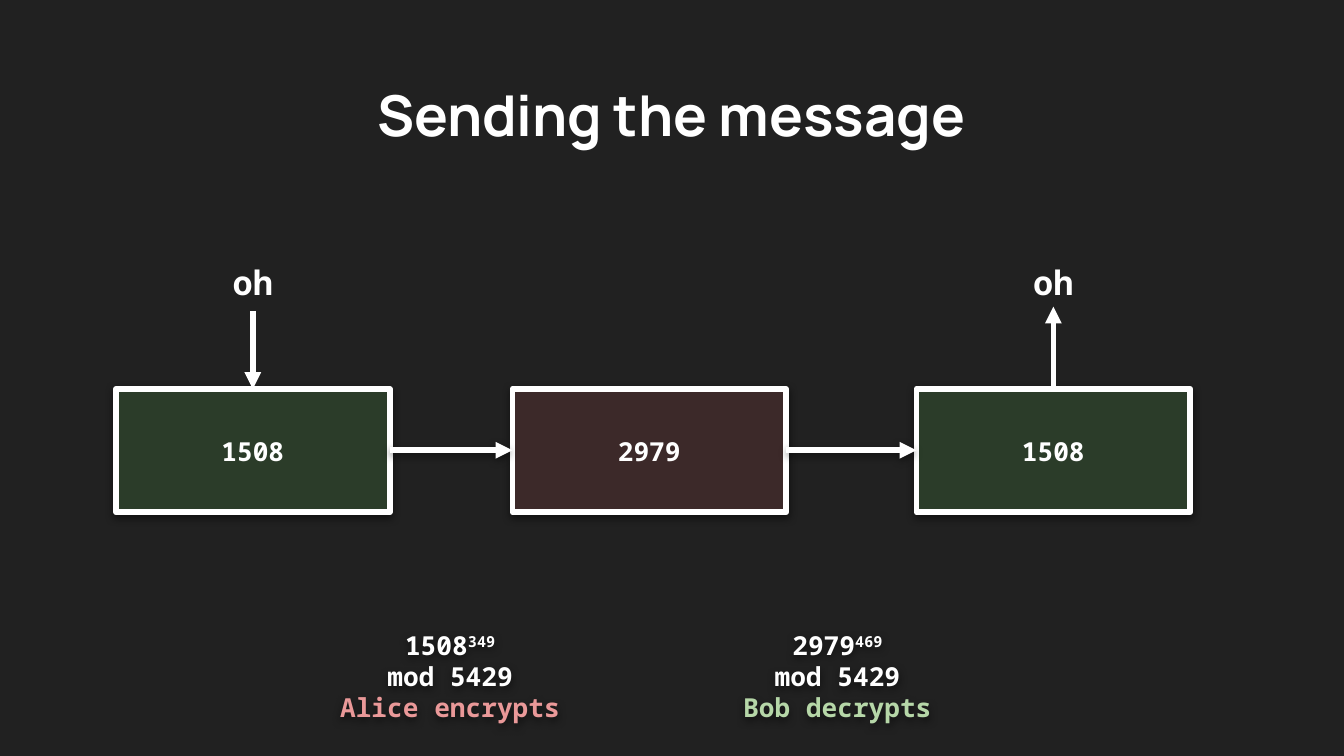
"""Build a slide showing a message being encrypted, sent and decrypted."""
from typing import NamedTuple

from lxml import etree
from pptx import Presentation
from pptx import util as u
from pptx.dml.color import RGBColor
from pptx.enum import shapes, text
from pptx.oxml.ns import qn

PX = u.Inches(1) // 160
WHITE, GREEN, RED = "FFFFFF", "2B3C29", "3C2929"
MONO = "Noto Sans Mono"
MARGIN = 16
BOX_TOP, BOX_WIDTH, BOX_HEIGHT = 463, 326, 147
BOX_MIDDLE = BOX_TOP + BOX_HEIGHT // 2


class Stage(NamedTuple):
    left: int
    number: str
    fill: str


class Arrow(NamedTuple):
    x1: int
    y1: int
    x2: int
    y2: int
    shadow: bool


class Formula(NamedTuple):
    left: int
    width: int
    base: str
    exponent: str
    action: str
    color: str


STAGES = [Stage(138, "1508", GREEN), Stage(610, "2979", RED), Stage(1091, "1508", GREEN)]
FIRST_X, LAST_X = (stage.left + BOX_WIDTH // 2 for stage in (STAGES[0], STAGES[-1]))
ARROWS = [
    Arrow(before.left + BOX_WIDTH, BOX_MIDDLE, after.left, BOX_MIDDLE, True)
    for before, after in zip(STAGES, STAGES[1:])
] + [
    Arrow(FIRST_X, 370, FIRST_X, BOX_TOP, False),
    Arrow(LAST_X, BOX_TOP, LAST_X, 365, False),
]
FORMULAS = [
    Formula(373, 326, "1508", "349", "Alice encrypts", "EA9999"),
    Formula(849, 296, "2979", "469", "Bob decrypts", "B6D7A8"),
]


def rgb(color: str) -> RGBColor:
    return RGBColor.from_string(color)


def set_effects(shape, shadow: bool) -> None:
    effects = etree.SubElement(shape._element.spPr, qn("a:effectLst"))
    if shadow:
        outer = etree.SubElement(
            effects, qn("a:outerShdw"), blurRad=str(u.Pt(4.5)), dist=str(u.Pt(1.5)),
            dir="5400000", algn="bl", rotWithShape="0")
        black = etree.SubElement(outer, qn("a:srgbClr"), val="000000")
        etree.SubElement(black, qn("a:alpha"), val="51000")


def set_outline(shape, arrowhead: bool = False) -> None:
    shape.line.color.rgb = rgb(WHITE)
    shape.line.width = u.Pt(3)
    outline = shape._element.spPr.find(qn("a:ln"))
    etree.SubElement(outline, qn("a:round"))
    if arrowhead:
        etree.SubElement(outline, qn("a:tailEnd"), type="triangle")


def style(run, size: float, font: str = MONO, color: str = WHITE) -> None:
    run.font.size = u.Pt(size)
    run.font.name = font
    run.font.bold = True
    run.font.color.rgb = rgb(color)


def write(shape, content: str, size: float, font: str = MONO):
    frame = shape.text_frame
    frame.word_wrap = True
    frame.margin_left = frame.margin_right = MARGIN * PX
    frame.margin_top = frame.margin_bottom = MARGIN * PX
    frame.text = content
    for paragraph in frame.paragraphs:
        paragraph.alignment = text.PP_ALIGN.CENTER
        for run in paragraph.runs:
            style(run, size, font)
    return frame


def add_label(slide, left: int, top: int, width: int, height: int,
              content: str, size: float, font: str = MONO):
    label = slide.shapes.add_textbox(left * PX, top * PX, width * PX, height * PX)
    write(label, content, size, font)
    return label


def add_stage(slide, stage: Stage) -> None:
    box = slide.shapes.add_shape(
        shapes.MSO_SHAPE.RECTANGLE, stage.left * PX, BOX_TOP * PX,
        BOX_WIDTH * PX, BOX_HEIGHT * PX)
    box.fill.solid()
    box.fill.fore_color.rgb = rgb(stage.fill)
    set_outline(box)
    set_effects(box, shadow=True)
    write(box, stage.number, 14).vertical_anchor = text.MSO_ANCHOR.MIDDLE


def add_arrow(slide, arrow: Arrow) -> None:
    line = slide.shapes.add_connector(
        shapes.MSO_CONNECTOR.STRAIGHT, arrow.x1 * PX, arrow.y1 * PX,
        arrow.x2 * PX, arrow.y2 * PX)
    set_outline(line, arrowhead=True)
    set_effects(line, arrow.shadow)


def add_formula(slide, formula: Formula) -> None:
    content = f"{formula.base}\nmod 5429\n{formula.action}"
    label = add_label(slide, formula.left, 733, formula.width, 146, content, 14)
    set_effects(label, shadow=True)
    power, _, action = label.text_frame.paragraphs
    exponent = power.add_run()
    exponent.text = formula.exponent
    style(exponent, 14)
    exponent.font._element.set("baseline", "30000")
    action.runs[0].font.color.rgb = rgb(formula.color)


def add_message(slide, center: int) -> None:
    message = add_label(slide, center - 81, 289, 162, 80, "oh", 18)
    paragraph = message.text_frame.paragraphs[0]
    paragraph.line_spacing = 1.15
    paragraph.space_after = u.Pt(12)


def main() -> None:
    deck = Presentation()
    deck.slide_width, deck.slide_height = 1600 * PX, 900 * PX
    slide = deck.slides.add_slide(deck.slide_layouts[6])
    slide.background.fill.solid()
    slide.background.fill.fore_color.rgb = rgb("212121")

    add_label(slide, 54, 80, 1491, 101, "Sending the message", 30.2, "Manrope")
    for stage in STAGES:
        add_stage(slide, stage)
    for arrow in ARROWS:
        add_arrow(slide, arrow)
    for formula in FORMULAS:
        add_formula(slide, formula)
    for center in (FIRST_X, LAST_X):
        add_message(slide, center)
    deck.save("out.pptx")


if __name__ == "__main__":
    main()
